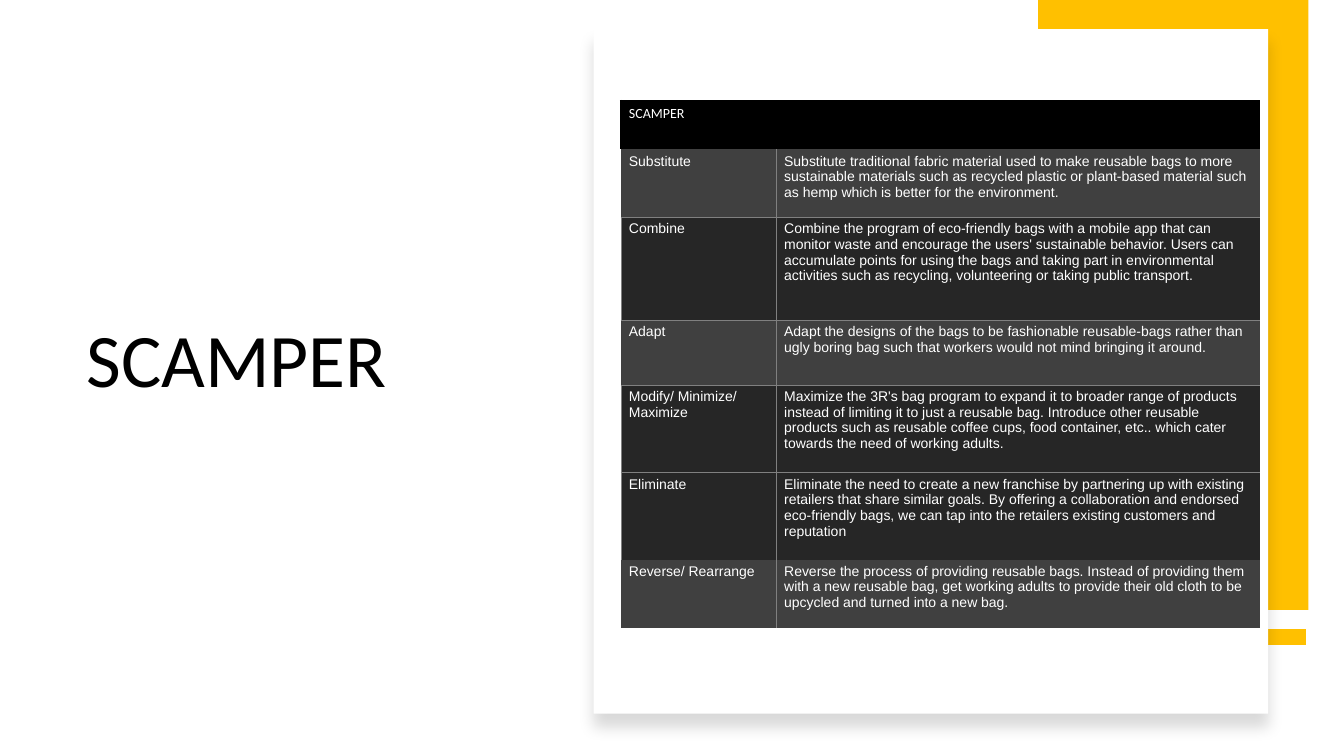
from lxml import etree
from pptx import Presentation
from pptx.dml.color import RGBColor
from pptx.enum.shapes import MSO_CONNECTOR, MSO_SHAPE
from pptx.enum.text import MSO_ANCHOR, MSO_AUTO_SIZE, PP_ALIGN
from pptx.oxml.ns import qn
from pptx.util import Pt

RECT = MSO_SHAPE.RECTANGLE
STRAIGHT = MSO_CONNECTOR.STRAIGHT
BOTTOM = MSO_ANCHOR.BOTTOM
LEFT = PP_ALIGN.LEFT
NO_FIT = MSO_AUTO_SIZE.NONE

COLORS = {
    "black": "000000",
    "white": "FFFFFF",
    "yellow": "FFC000",
    "light": "404040",
    "dark": "262626",
    "rule": "808080",
}
PLAIN_TABLE = "{2D5ABB26-0587-4C30-8999-92F81FD0307C}"
CELL_FORMAT = {
    "margin_left": Pt(5.76),
    "margin_right": Pt(5.76),
    "margin_top": Pt(2.88),
    "margin_bottom": Pt(2.88),
}
COL_WIDTHS = [110.9, 345.6]
ROWS = [
    ("black", 34.8, "SCAMPER", ""),
    ("light", 48.4, "Substitute",
     "Substitute traditional fabric material used to make reusable bags to more "
     "sustainable materials such as recycled plastic or plant-based material such "
     "as hemp which is better for the environment."),
    ("dark", 73.5, "Combine",
     "Combine the program of eco-friendly bags with a mobile app that can monitor "
     "waste and encourage the users' sustainable behavior. Users can accumulate "
     "points for using the bags and taking part in environmental activities such "
     "as recycling, volunteering or taking public transport."),
    ("light", 46.3, "Adapt",
     "Adapt the designs of the bags to be fashionable reusable-bags rather than "
     "ugly boring bag such that workers would not mind bringing it around."),
    ("dark", 62.6, "Modify/ Minimize/ Maximize",
     "Maximize the 3R's bag program to expand it to broader range of products "
     "instead of limiting it to just a reusable bag. Introduce other reusable "
     "products such as reusable coffee cups, food container, etc.. which cater "
     "towards the need of working adults."),
    ("dark", 62.3, "Eliminate",
     "Eliminate the need to create a new franchise by partnering up with existing "
     "retailers that share similar goals. By offering a collaboration and endorsed "
     "eco-friendly bags, we can tap into the retailers existing customers and "
     "reputation"),
    ("light", 48.6, "Reverse/ Rearrange",
     "Reverse the process of providing reusable bags. Instead of providing them "
     "with a new reusable bag, get working adults to provide their old cloth to be "
     "upcycled and turned into a new bag."),
]


def rgb(name):
    return RGBColor.from_string(COLORS[name])


def apply(obj, values):
    for name, value in values.items():
        setattr(obj, name, value)


def set_font(font, name, size, color):
    apply(font, {"name": name, "size": Pt(size), "bold": False})
    font.color.rgb = rgb(color)


def add_title(s, text, left, top, width, height):
    title = s.shapes.title
    apply(title, {"left": Pt(left), "top": Pt(top), "width": Pt(width), "height": Pt(height)})
    tf = title.text_frame
    tf.text = text
    apply(tf, {"vertical_anchor": BOTTOM, "word_wrap": True, "auto_size": NO_FIT})
    p = tf.paragraphs[0]
    apply(p, {"alignment": LEFT, "line_spacing": 0.9})
    set_font(p.runs[0].font, "Calibri", 54, "black")


def add_rect(s, color, left, top, width, height):
    sp = s.shapes.add_shape(RECT, Pt(left), Pt(top), Pt(width), Pt(height))
    sp.shadow.inherit = False
    sp.fill.solid()
    sp.fill.fore_color.rgb = rgb(color)
    sp.line.fill.background()
    return sp


def add_shadow(sp, color, alpha, blur, distance, angle):
    effects = sp._element.spPr.find(qn("a:effectLst"))
    shadow = etree.SubElement(
        effects, qn("a:outerShdw"), blurRad=str(Pt(blur)), dist=str(Pt(distance)),
        dir=str(angle * 60000), algn="t", rotWithShape="0")
    clr = etree.SubElement(shadow, qn("a:srgbClr"), val=COLORS[color])
    etree.SubElement(clr, qn("a:alpha"), val=str(alpha * 1000))


def add_line(s, color, weight, x1, x2, y):
    line = s.shapes.add_connector(STRAIGHT, Pt(x1), Pt(y), Pt(x2), Pt(y))
    etree.SubElement(line._element.spPr, qn("a:effectLst"))
    line.line.color.rgb = rgb(color)
    line.line.width = Pt(weight)


def set_borders(cell, sides, color, weight):
    tc_pr = cell._tc.get_or_add_tcPr()
    for side in "LRTB":
        if side in sides:
            ln = etree.SubElement(tc_pr, qn("a:ln" + side), w=str(Pt(weight)))
            fill = etree.SubElement(ln, qn("a:solidFill"))
            etree.SubElement(fill, qn("a:srgbClr"), val=COLORS[color])


def border_sides(row, col):
    if row == 0:
        return "T" if col else "LT"
    shade = ROWS[row][0]
    sides = "L" if col or shade == "dark" else ""
    if col == 0:
        sides += "R"
    if shade == "light" and row < len(ROWS) - 1:
        sides += "B"
    if shade == "dark" and ROWS[row - 1][0] == "light":
        sides += "T"
    return sides


def add_scamper_table(s, left, top):
    height = sum(row[1] for row in ROWS)
    frame = s.shapes.add_table(len(ROWS), len(COL_WIDTHS), Pt(left), Pt(top),
                               Pt(sum(COL_WIDTHS)), Pt(height))
    table = frame.table
    apply(table, {"first_row": False, "horz_banding": False})
    table._tbl.tblPr.find(qn("a:tableStyleId")).text = PLAIN_TABLE
    for column, width in zip(table.columns, COL_WIDTHS):
        column.width = Pt(width)
    for i, (shade, row_height, *texts) in enumerate(ROWS):
        table.rows[i].height = Pt(row_height)
        for j, text in enumerate(texts):
            cell = table.cell(i, j)
            apply(cell, CELL_FORMAT)
            line = ("rule", 0.5) if i else ("black", 1.5)
            set_borders(cell, border_sides(i, j), *line)
            cell.fill.solid()
            cell.fill.fore_color.rgb = rgb(shade)
            if text:
                cell.text = text
                font = cell.text_frame.paragraphs[0].runs[0].font
                set_font(font, "Arial" if i else "Calibri", 10, "white")


def main():
    prs = Presentation()
    apply(prs, {"slide_width": Pt(960), "slide_height": Pt(540)})
    s = prs.slides.add_slide(prs.slide_layouts[5])
    add_title(s, "SCAMPER", 54.7, 227.5, 328.3, 64.8)
    add_line(s, "yellow", 12, 933, 741.6, 455)
    add_rect(s, "yellow", 741.6, 0, 193, 435.6)
    panel = add_rect(s, "white", 424.1, 20.9, 481.7, 488.9)
    add_shadow(panel, "black", 15, 11, 10, 90)
    add_scamper_table(s, 443.5, 72)
    prs.save("out.pptx")


if __name__ == "__main__":
    main()
